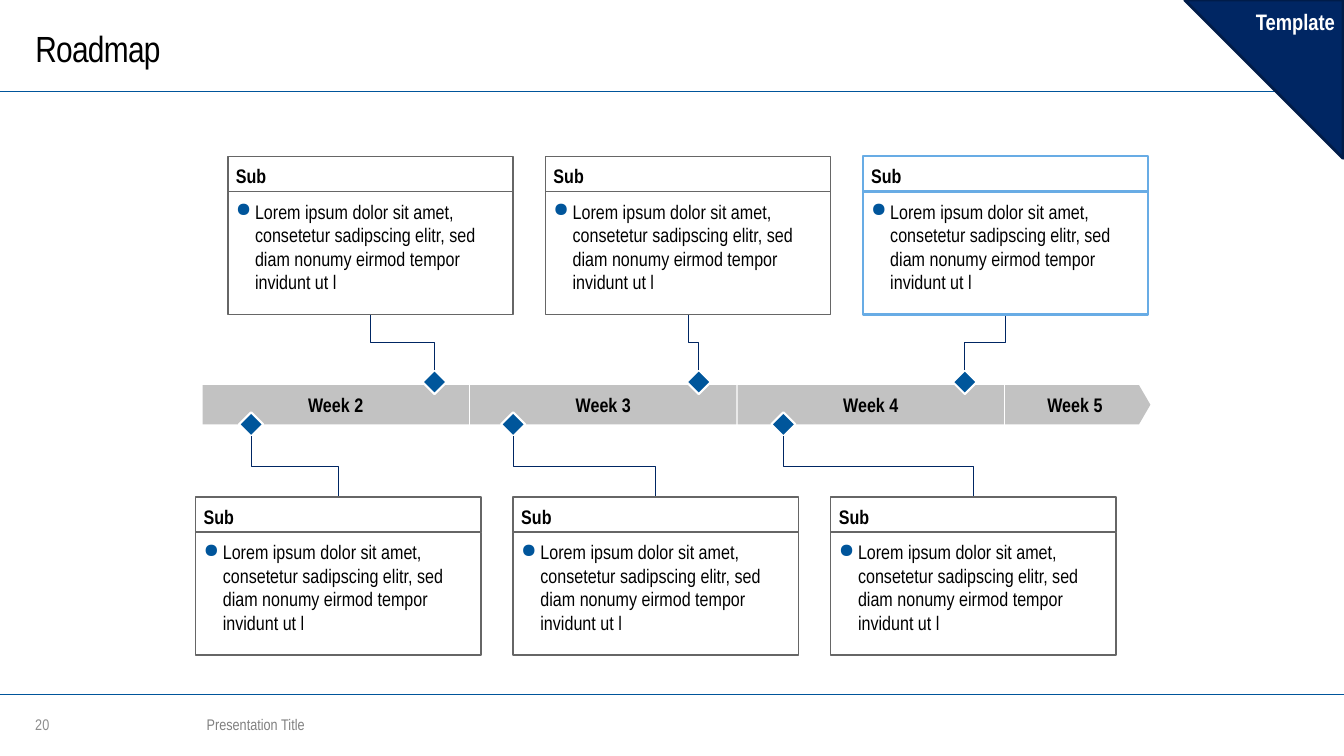
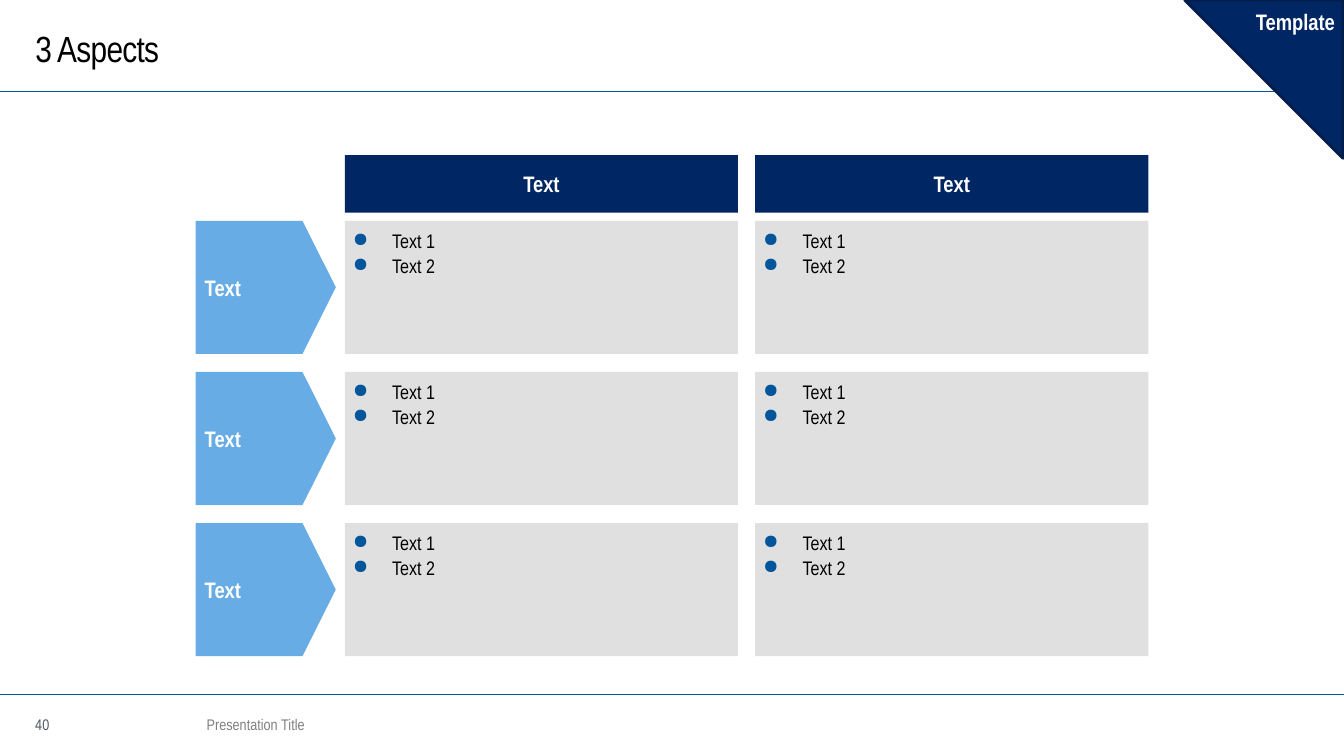
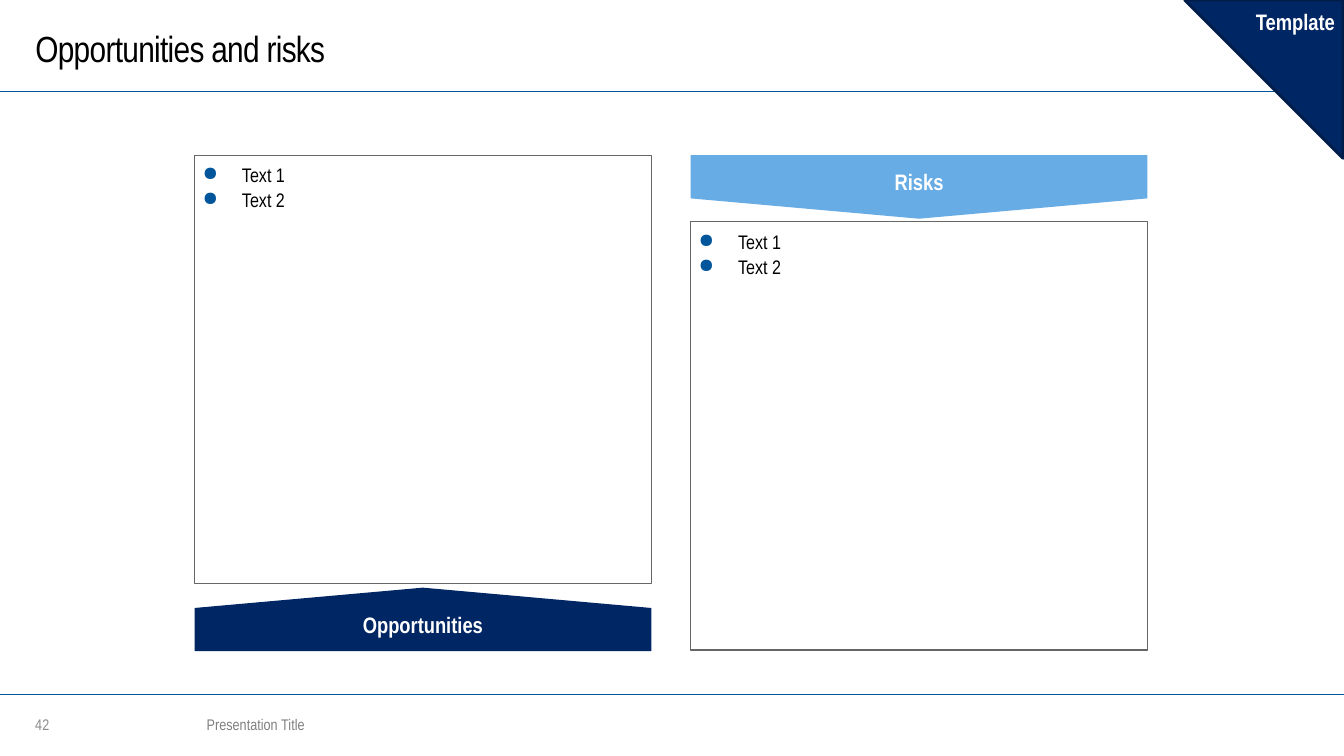
"""Build three template slides: a roadmap, three aspects, and opportunities and risks."""
from dataclasses import dataclass
from typing import NamedTuple, Optional

from lxml import etree
from pptx import Presentation
from pptx.dml.color import RGBColor
from pptx.enum.shapes import MSO_CONNECTOR, MSO_SHAPE
from pptx.enum.text import MSO_ANCHOR, PP_ALIGN
from pptx.oxml.ns import qn
from pptx.shapes.autoshape import Shape
from pptx.shapes.connector import Connector
from pptx.slide import Slide
from pptx.util import Inches, Pt

RECT = MSO_SHAPE.RECTANGLE
PLATE = MSO_SHAPE.PENTAGON
DIAMOND = MSO_SHAPE.FLOWCHART_DECISION
TRIANGLE = MSO_SHAPE.ISOSCELES_TRIANGLE
STRAIGHT, ELBOW = MSO_CONNECTOR.STRAIGHT, MSO_CONNECTOR.ELBOW
LEFT, CENTER, RIGHT = PP_ALIGN.LEFT, PP_ALIGN.CENTER, PP_ALIGN.RIGHT
TOP, MIDDLE = MSO_ANCHOR.TOP, MSO_ANCHOR.MIDDLE


@dataclass(frozen=True)
class Theme:
    """Colours, font and type sizes of the deck."""
    font: str = "Arial Narrow"
    title_size: float = 26
    heading_size: float = 16
    body_size: float = 14
    footer_size: float = 11
    black: RGBColor = RGBColor(0x00, 0x00, 0x00)
    white: RGBColor = RGBColor(0xFF, 0xFF, 0xFF)
    navy: RGBColor = RGBColor(0x00, 0x26, 0x63)
    navy_edge: RGBColor = RGBColor(0x00, 0x1C, 0x49)
    blue: RGBColor = RGBColor(0x00, 0x55, 0x9B)
    marker: RGBColor = RGBColor(0x00, 0x56, 0x9B)
    sky: RGBColor = RGBColor(0x68, 0xAC, 0xE5)
    band: RGBColor = RGBColor(0xC2, 0xC2, 0xC2)
    panel: RGBColor = RGBColor(0xE0, 0xE0, 0xE0)
    edge: RGBColor = RGBColor(0x66, 0x66, 0x66)
    footer: RGBColor = RGBColor(0x80, 0x80, 0x80)
    page: RGBColor = RGBColor(0x8C, 0x8C, 0x8C)
    page_dark: RGBColor = RGBColor(0x4C, 0x57, 0x5F)


THEME = Theme()


class Box(NamedTuple):
    """Place and size in inches."""
    left: float
    top: float
    width: float
    height: float


class Edge(NamedTuple):
    """Outline colour and width in points."""
    color: RGBColor
    width: float


@dataclass(frozen=True)
class TextStyle:
    """How the text of one shape looks and sits."""
    size: float
    color: RGBColor = THEME.black
    bold: bool = False
    align: PP_ALIGN = LEFT
    anchor: MSO_ANCHOR = MIDDLE
    inset: tuple[float, float] = (0.08, 0.08)
    wrap: bool = True
    indent: float = 0
    tracking: float = 0
    direction: str = "horz"


@dataclass(frozen=True)
class Milestone:
    """A dated marker on the roadmap and the card it leads to."""
    marker_x: float
    card_left: float
    above: bool
    edge: Edge


@dataclass(frozen=True)
class Banner:
    """A wide arrow heading that points up or down."""
    label: str
    box: Box
    fill: RGBColor
    rotation: int
    direction: str


EDGE = Edge(THEME.edge, 1)
TITLE = TextStyle(THEME.title_size, inset=(0, 0), tracking=-0.5)
FOOTER = TextStyle(THEME.footer_size, THEME.footer, inset=(0, 0))
WEEK = TextStyle(THEME.body_size, bold=True, align=CENTER, inset=(0.09, 0.05), wrap=False)
CARD_HEAD = TextStyle(THEME.body_size, bold=True, anchor=TOP)
CARD_BODY = TextStyle(THEME.body_size, anchor=TOP, indent=0.19)
BULLETS = TextStyle(THEME.body_size, anchor=TOP, indent=0.39)
ASPECT = TextStyle(THEME.heading_size, THEME.white, bold=True, inset=(0.09, 0.05))
COLUMN_HEAD = TextStyle(THEME.heading_size, THEME.white, bold=True, align=CENTER)
CORNER = TextStyle(THEME.heading_size, THEME.white, bold=True, align=RIGHT, anchor=TOP,
                   wrap=False, direction="vert")

LOREM = ("Lorem ipsum dolor sit amet, consetetur sadipscing elitr, "
         "sed diam nonumy eirmod tempor invidunt ut l")
ITEMS = ["Text 1", "Text 2"]
CARD_WIDTH, CARD_HEAD_HEIGHT, CARD_BODY_HEIGHT = 2.83, 0.35, 1.22
CARD_PITCH = 3.15
MARKER_SIZE = 0.24


def place(box: Box) -> tuple[Inches, ...]:
    """Turn a box into slide lengths."""
    return tuple(Inches(length) for length in box)


def write(shape: Shape, lines: list[str], style: TextStyle) -> None:
    """Fill a shape with one paragraph per line."""
    frame = shape.text_frame
    frame.word_wrap = style.wrap
    frame.vertical_anchor = style.anchor
    frame.margin_left = frame.margin_right = Inches(style.inset[0])
    frame.margin_top = frame.margin_bottom = Inches(style.inset[1])
    frame._txBody.bodyPr.set("vert", style.direction)
    for index, line in enumerate(lines):
        paragraph = frame.add_paragraph() if index else frame.paragraphs[0]
        paragraph.alignment = style.align
        if style.indent:
            properties = paragraph._p.get_or_add_pPr()
            properties.set("marL", str(Inches(style.indent)))
            properties.set("indent", str(-Inches(style.indent)))
            tint = etree.SubElement(properties, qn("a:buClr"))
            etree.SubElement(tint, qn("a:srgbClr")).set("val", str(THEME.blue))
            etree.SubElement(properties, qn("a:buChar")).set("char", "●")
        if index:
            paragraph.space_before = Pt(1)
        run = paragraph.add_run()
        run.text = line
        run.font.name = THEME.font
        run.font.size = Pt(style.size)
        run.font.bold = style.bold
        run.font.color.rgb = style.color
        if style.tracking:
            run._r.get_or_add_rPr().set("spc", str(round(style.tracking * 100)))


def add_text(slide: Slide, box: Box, line: str, style: TextStyle) -> None:
    """Add a text box."""
    write(slide.shapes.add_textbox(*place(box)), [line], style)


def add_block(slide: Slide, kind: MSO_SHAPE, box: Box, fill: Optional[RGBColor] = None,
              edge: Optional[Edge] = None, lines: Optional[list[str]] = None,
              style: TextStyle = BULLETS, point: Optional[float] = None) -> Shape:
    """Add a preset shape with its fill, outline and text."""
    block = slide.shapes.add_shape(kind, *place(box))
    block.shadow.inherit = False
    if fill is None:
        block.fill.background()
    else:
        block.fill.solid()
        block.fill.fore_color.rgb = fill
    if edge is None:
        block.line.fill.background()
    else:
        block.line.color.rgb = edge.color
        block.line.width = Pt(edge.width)
    if point is not None:
        block.adjustments[0] = point
    if lines:
        write(block, lines, style)
    return block


def add_line(slide: Slide, kind: MSO_CONNECTOR, start: tuple[float, float],
             end: tuple[float, float], edge: Edge) -> Connector:
    """Add a connector without shadow."""
    line = slide.shapes.add_connector(kind, *(Inches(length) for length in (*start, *end)))
    line.line.color.rgb = edge.color
    line.line.width = Pt(edge.width)
    etree.SubElement(line._element.spPr, qn("a:effectLst"))
    return line


def add_drop(slide: Slide, start: tuple[float, float], end: tuple[float, float]) -> None:
    """Add an elbow that leaves its start downwards and enters its end from above."""
    run, fall = end[0] - start[0], end[1] - start[1]
    middle_x, middle_y = (start[0] + end[0]) / 2, (start[1] + end[1]) / 2
    drop = add_line(slide, ELBOW, (middle_x - fall / 2, middle_y + run / 2),
                    (middle_x + fall / 2, middle_y - run / 2), Edge(THEME.navy, 0.75))
    drop._element.spPr.xfrm.set("rot", "5400000")


def add_page(deck: Presentation, title: str, number: int, number_color: RGBColor) -> Slide:
    """Add a slide with the rules, title, footer and corner that all slides share."""
    slide = deck.slides.add_slide(deck.slide_layouts[6])
    for height in (6.89, 0.91):
        add_line(slide, STRAIGHT, (0, height), (13.33, height), Edge(THEME.blue, 1))
    add_text(slide, Box(0.35, 0.04, 10.29, 0.87), title, TITLE)
    add_text(slide, Box(0.35, 7.05, 0.37, 0.28), str(number),
             TextStyle(THEME.footer_size, number_color, inset=(0, 0)))
    add_text(slide, Box(2.05, 7.05, 6.82, 0.28), "Presentation Title", FOOTER)
    corner = add_block(slide, TRIANGLE, Box(11.75, 0, 1.57, 1.57), THEME.navy,
                       Edge(THEME.navy_edge, 2), ["Template"], CORNER, 1)
    corner.rotation = 270
    return slide


def add_milestone(slide: Slide, milestone: Milestone) -> None:
    """Add a marker, its card and the elbow between them."""
    card_top = 1.55 if milestone.above else 4.93
    marker_top = 3.67 if milestone.above else 4.09
    body_top = card_top + CARD_HEAD_HEIGHT
    card_x = milestone.card_left + CARD_WIDTH / 2
    add_block(slide, DIAMOND, Box(milestone.marker_x - MARKER_SIZE / 2, marker_top,
                                  MARKER_SIZE, MARKER_SIZE),
              THEME.marker, Edge(THEME.white, 1.5))
    if milestone.above:
        add_drop(slide, (card_x, body_top + CARD_BODY_HEIGHT), (milestone.marker_x, marker_top))
    else:
        add_drop(slide, (milestone.marker_x, marker_top + MARKER_SIZE), (card_x, card_top))
    add_block(slide, RECT, Box(milestone.card_left, card_top, CARD_WIDTH, CARD_HEAD_HEIGHT),
              edge=milestone.edge, lines=["Sub"], style=CARD_HEAD)
    add_block(slide, RECT, Box(milestone.card_left, body_top, CARD_WIDTH, CARD_BODY_HEIGHT),
              edge=milestone.edge, lines=[LOREM], style=CARD_BODY)


def build_roadmap(deck: Presentation) -> None:
    """Build the roadmap slide."""
    slide = add_page(deck, "Roadmap", 20, THEME.page)
    first_week, last_week = 2.01, 9.97
    pitch = (last_week - first_week) / 3
    for index in range(3):
        add_block(slide, RECT, Box(first_week + index * pitch, 3.82, 2.64, 0.39), THEME.band,
                  lines=[f"Week {index + 2}"], style=WEEK)
    add_block(slide, PLATE, Box(last_week, 3.82, 1.44, 0.39), THEME.band,
              lines=["Week 5"], style=WEEK, point=0.29)
    highlight = Edge(THEME.sky, 1.5)
    for index, marker_x in enumerate((4.31, 6.93, 9.57)):
        add_milestone(slide, Milestone(marker_x, 2.26 + index * CARD_PITCH, True,
                                       highlight if index == 2 else EDGE))
    for index, marker_x in enumerate((2.49, 5.09, 7.77)):
        add_milestone(slide, Milestone(marker_x, 1.94 + index * CARD_PITCH, False, EDGE))


def build_aspects(deck: Presentation) -> None:
    """Build the slide with three aspects in two columns."""
    slide = add_page(deck, "3 Aspects", 40, THEME.page_dark)
    columns = (3.42, 7.49)
    for left in columns:
        add_block(slide, RECT, Box(left, 1.54, 3.9, 0.57), THEME.navy,
                  lines=["Text"], style=COLUMN_HEAD)
    for row in range(3):
        top = 2.19 + row * 1.5
        add_block(slide, PLATE, Box(1.94, top, 1.39, 1.32), THEME.sky,
                  lines=["Text"], style=ASPECT, point=0.25)
        for left in columns:
            add_block(slide, RECT, Box(left, top, 3.9, 1.32), THEME.panel, lines=ITEMS)


def add_banner(slide: Slide, banner: Banner) -> None:
    """Add an arrow heading turned by a quarter, with upright text."""
    left, top, width, height = banner.box
    turned = Box(left + (width - height) / 2, top + (height - width) / 2, height, width)
    style = TextStyle(THEME.heading_size, THEME.white, bold=True, align=CENTER,
                      direction=banner.direction)
    arrow = add_block(slide, PLATE, turned, banner.fill, lines=[banner.label],
                      style=style, point=0.32)
    arrow.rotation = banner.rotation


def build_opportunities(deck: Presentation) -> None:
    """Build the slide that sets opportunities against risks."""
    slide = add_page(deck, "Opportunities and risks", 42, THEME.page)
    for left, top in ((1.93, 1.54), (6.85, 2.2)):
        add_block(slide, RECT, Box(left, top, 4.53, 4.25), THEME.white, EDGE, ITEMS)
    add_banner(slide, Banner("Opportunities", Box(1.93, 5.83, 4.53, 0.63),
                             THEME.navy, 270, "vert"))
    add_banner(slide, Banner("Risks", Box(6.85, 1.54, 4.53, 0.63), THEME.sky, 90, "vert270"))


def main() -> None:
    """Build and save the deck."""
    deck = Presentation()
    deck.slide_width, deck.slide_height = Inches(13.33), Inches(7.5)
    build_roadmap(deck)
    build_aspects(deck)
    build_opportunities(deck)
    deck.save("out.pptx")


if __name__ == "__main__":
    main()
